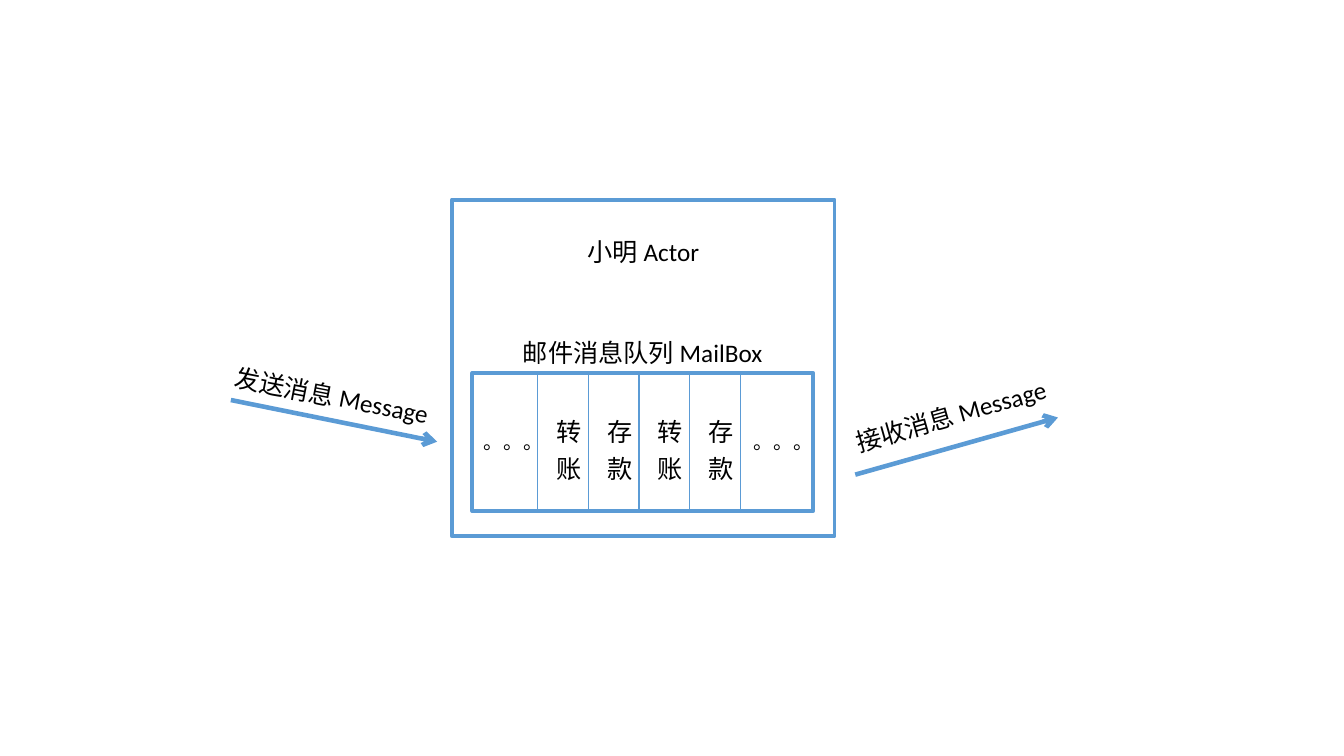
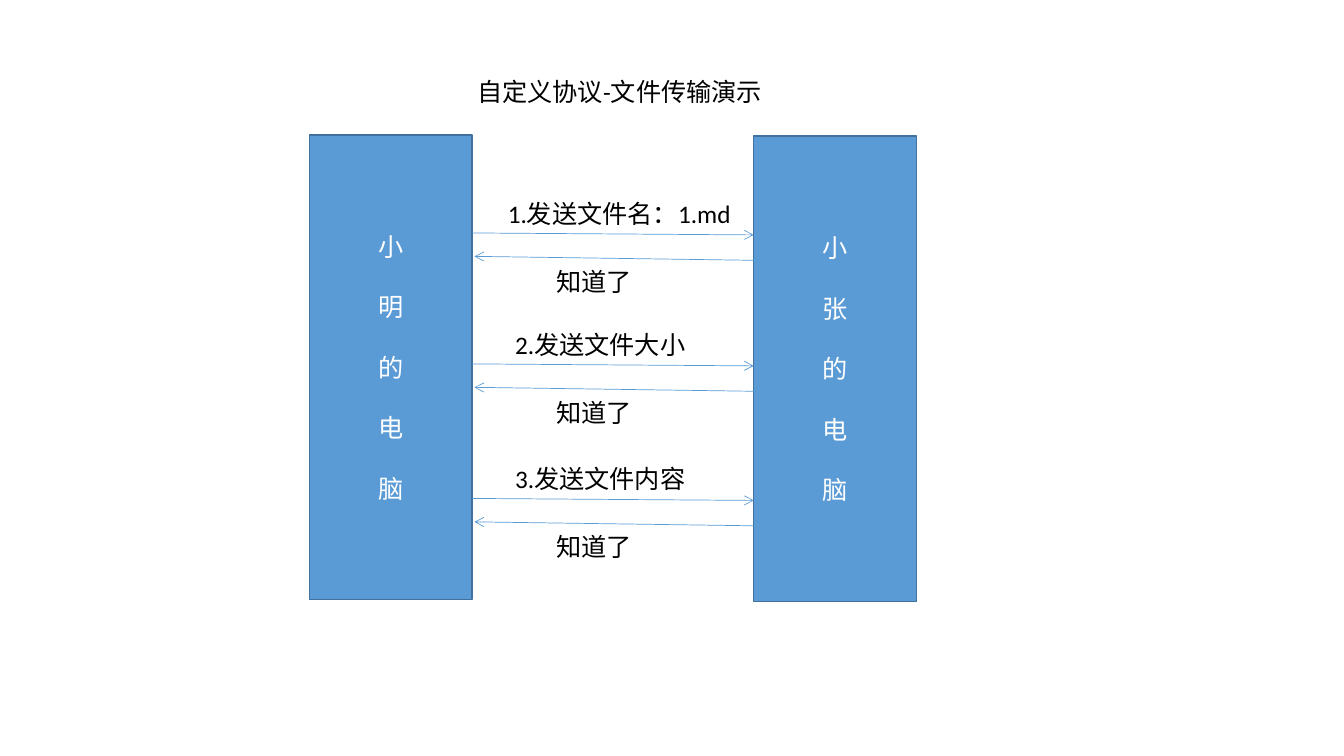
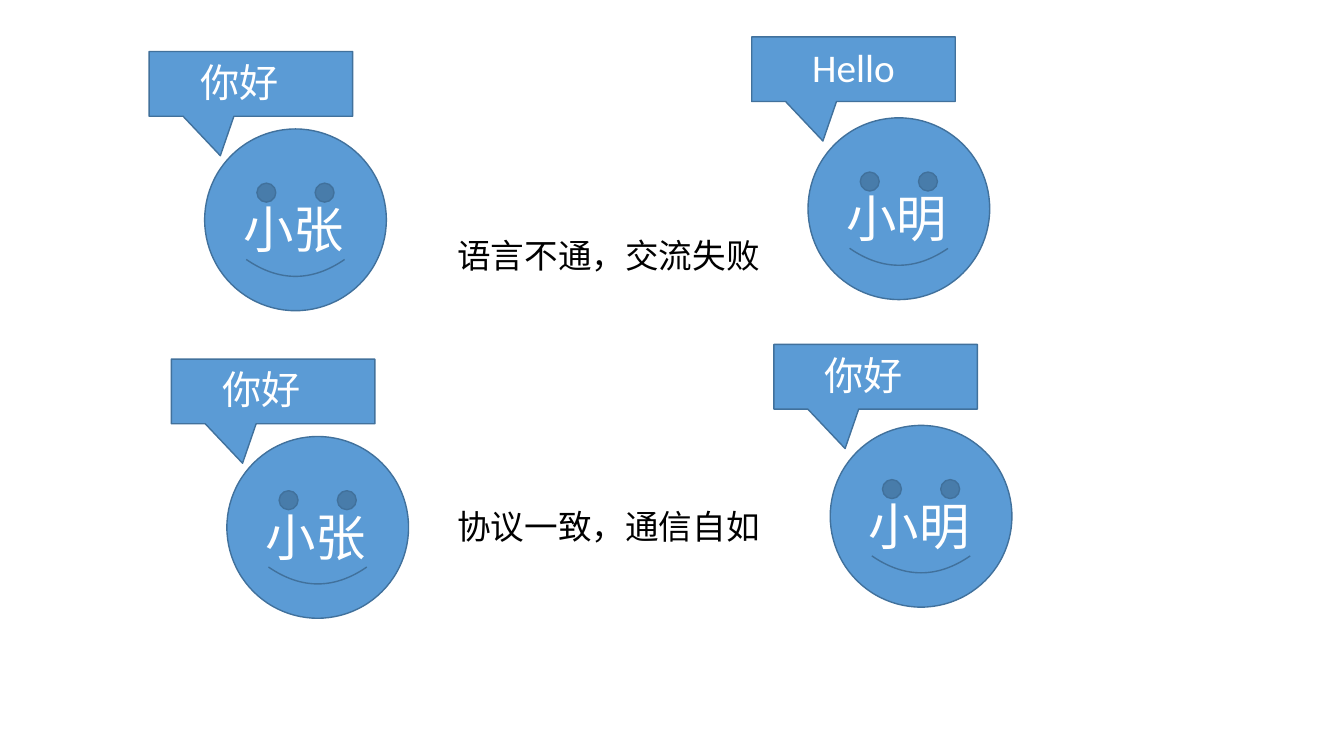
from lxml import etree
from pptx import Presentation
from pptx.dml.color import RGBColor
from pptx.enum import shapes, text
from pptx.oxml.ns import qn
from pptx.util import Cm, Pt

BLUE = RGBColor(0x5B, 0x9B, 0xD5)
EDGE = RGBColor(0x41, 0x71, 0x9C)
WHITE = RGBColor(0xFF, 0xFF, 0xFF)
BLACK = RGBColor(0, 0, 0)
FONT = "Calibri"
KIND = shapes.MSO_SHAPE

ACTOR_BOX = (11.39, 5.03, 9.65, 8.48)
MAILBOX = (11.91, 9.4, 8.59, 3.48)
QUEUE = ["转账", "存款", "转账", "存款"]
QUEUE_LEFT, CELL_WIDTH = 13.55, 1.28
ACTOR_LABELS = [
    ("小明 Actor", (14.22, 5.82, 4, 1.02), 18, 0),
    ("邮件消息队列 MailBox", (12.6, 8.38, 7.2, 1.02), 18, 0),
    ("。。。", (11.69, 10.72, 2.5, 0.86), 14, 0),
    ("。。。", (18.5, 10.72, 2.5, 0.86), 14, 0),
    ("发送消息 Message", (5.36, 9.46, 6, 1.02), 18, 11),
    ("接收消息 Message", (20.97, 9.96, 6, 1.02), 18, 344),
]
MESSAGE_ARROWS = [(5.82, 10.08, 11.02, 11.13), (21.56, 11.96, 26.67, 10.52)]

PROTOCOL_TITLE = ("自定义协议-文件传输演示", (10.82, 1.8, 9.6, 1.02))
COMPUTERS = [
    ("小明的电脑", (7.8, 3.4, 4.1, 11.71)),
    ("小张的电脑", (19, 3.43, 4.1, 11.73)),
]
EXCHANGES = [
    ("1.发送文件名：1.md", 15.61, 5.87),
    ("2.发送文件大小", 15.13, 9.17),
    ("3.发送文件内容", 15.13, 12.56),
]
REPLY, REPLY_CENTRE = "知道了", 14.97
REQUEST_WIDTH, REPLY_WIDTH = 7.4, 4

PEOPLE = [
    ("小张", (5.16, 3.25), (3.76, 1.3)),
    ("小明", (20.37, 2.97), (18.95, 0.93)),
]
TALKS = [
    (("你好", "Hello"), (0, 0), "语言不通，交流失败", 5.79),
    (("你好", "你好"), (0.56, 7.75), "协议一致，通信自如", 12.62),
]
FACE_SIZE = 4.58
BUBBLE_SIZE = (5.13, 1.63)


def style(frame, size, color, align=text.PP_ALIGN.CENTER):
    for paragraph in frame.paragraphs:
        paragraph.alignment = align
        for run in paragraph.runs:
            run.font.name = FONT
            run.font.size = Pt(size)
            run.font.color.rgb = color


def margins(frame, left, top, right, bottom):
    frame.margin_left, frame.margin_top = Cm(left), Cm(top)
    frame.margin_right, frame.margin_bottom = Cm(right), Cm(bottom)


def label(slide, words, at, size=18, rotation=0):
    box = slide.shapes.add_textbox(*map(Cm, at))
    box.rotation = rotation
    box.text_frame.word_wrap = False
    box.text_frame.text = words
    style(box.text_frame, size, BLACK)


def block(slide, kind, at, fill=BLUE, edge=EDGE, weight=1):
    shape = slide.shapes.add_shape(kind, *map(Cm, at))
    shape.shadow.inherit = False
    if fill is None:
        shape.fill.background()
    else:
        shape.fill.solid()
        shape.fill.fore_color.rgb = fill
    shape.line.color.rgb = edge
    shape.line.width = Pt(weight)
    return shape


def write(shape, words, size):
    frame = shape.text_frame
    frame.word_wrap = False
    frame.vertical_anchor = text.MSO_ANCHOR.MIDDLE
    frame.text = words
    style(frame, size, WHITE)
    return frame


def arrow(slide, ends, weight):
    line = slide.shapes.add_connector(shapes.MSO_CONNECTOR.STRAIGHT, *map(Cm, ends))
    line.line.color.rgb = BLUE
    line.line.width = Pt(weight)
    etree.SubElement(line.line._get_or_add_ln(), qn("a:tailEnd"), type="arrow")
    etree.SubElement(line._element.spPr, qn("a:effectLst"))


def queue_cell(slide, words, left):
    cell = block(slide, KIND.RECTANGLE, (left, MAILBOX[1], CELL_WIDTH, MAILBOX[3]),
                 None, BLUE, 0.75)
    frame = cell.text_frame
    frame.text = words
    frame.word_wrap = True
    frame.vertical_anchor = text.MSO_ANCHOR.TOP
    margins(frame, 0.13, 0.25, 0.13, 0.25)
    style(frame, 18, BLACK, text.PP_ALIGN.LEFT)
    frame._txBody.bodyPr.set("vert", "eaVert")
    paragraph = frame.paragraphs[0]
    paragraph._p.get_or_add_pPr().set("marL", str(Cm(0.91)))
    paragraph.runs[0]._r.get_or_add_rPr().set("spc", "860")


def actor_slide(slide):
    for at in (ACTOR_BOX, MAILBOX):
        block(slide, KIND.RECTANGLE, at, WHITE, BLUE, 2.75)
    for i, words in enumerate(QUEUE):
        queue_cell(slide, words, QUEUE_LEFT + i * CELL_WIDTH)
    for ends in MESSAGE_ARROWS:
        arrow(slide, ends, 3.25)
    for words, at, size, rotation in ACTOR_LABELS:
        label(slide, words, at, size, rotation)


def protocol_slide(slide):
    label(slide, *PROTOCOL_TITLE)
    for owner, at in COMPUTERS:
        frame = write(block(slide, KIND.RECTANGLE, at), "\n".join(owner), 18)
        for paragraph in frame.paragraphs[1:]:
            paragraph.space_before = Pt(21.6)
    for request, centre, y in EXCHANGES:
        arrow(slide, (11.91, y, 19, y + 0.05), 0.5)
        arrow(slide, (19.05, y + 0.69, 11.96, y + 0.59), 0.5)
        for words, middle, top, width in (
            (request, centre, y - 1, REQUEST_WIDTH),
            (REPLY, REPLY_CENTRE, y + 0.71, REPLY_WIDTH),
        ):
            label(slide, words, (middle - width / 2, top, width, 1.02))


def talk_slide(slide):
    for greetings, (dx, dy), caption, caption_top in TALKS:
        for (name, face_at, bubble_at), greeting in zip(PEOPLE, greetings):
            face = block(slide, KIND.SMILEY_FACE,
                         (face_at[0] + dx, face_at[1] + dy, FACE_SIZE, FACE_SIZE))
            face.adjustments[0] = 0.05
            margins(write(face, name, 36), 0.25, 0.58, 0.35, 0.13)
            bubble = block(slide, KIND.RECTANGULAR_CALLOUT,
                           (bubble_at[0] + dx, bubble_at[1] + dy, *BUBBLE_SIZE))
            bubble.adjustments[0], bubble.adjustments[1] = -0.15, 1.11
            right = 0.25 if greeting == "Hello" else 0.84
            margins(write(bubble, greeting, 28), 0.25, 0.13, right, 0.25)
        label(slide, caption, (10.84, caption_top, 9, 1.28), 24)


def main():
    deck = Presentation()
    deck.slide_width, deck.slide_height = Cm(33.88), Cm(19.05)
    for build in (actor_slide, protocol_slide, talk_slide):
        build(deck.slides.add_slide(deck.slide_layouts[6]))
    deck.save("out.pptx")


if __name__ == "__main__":
    main()
